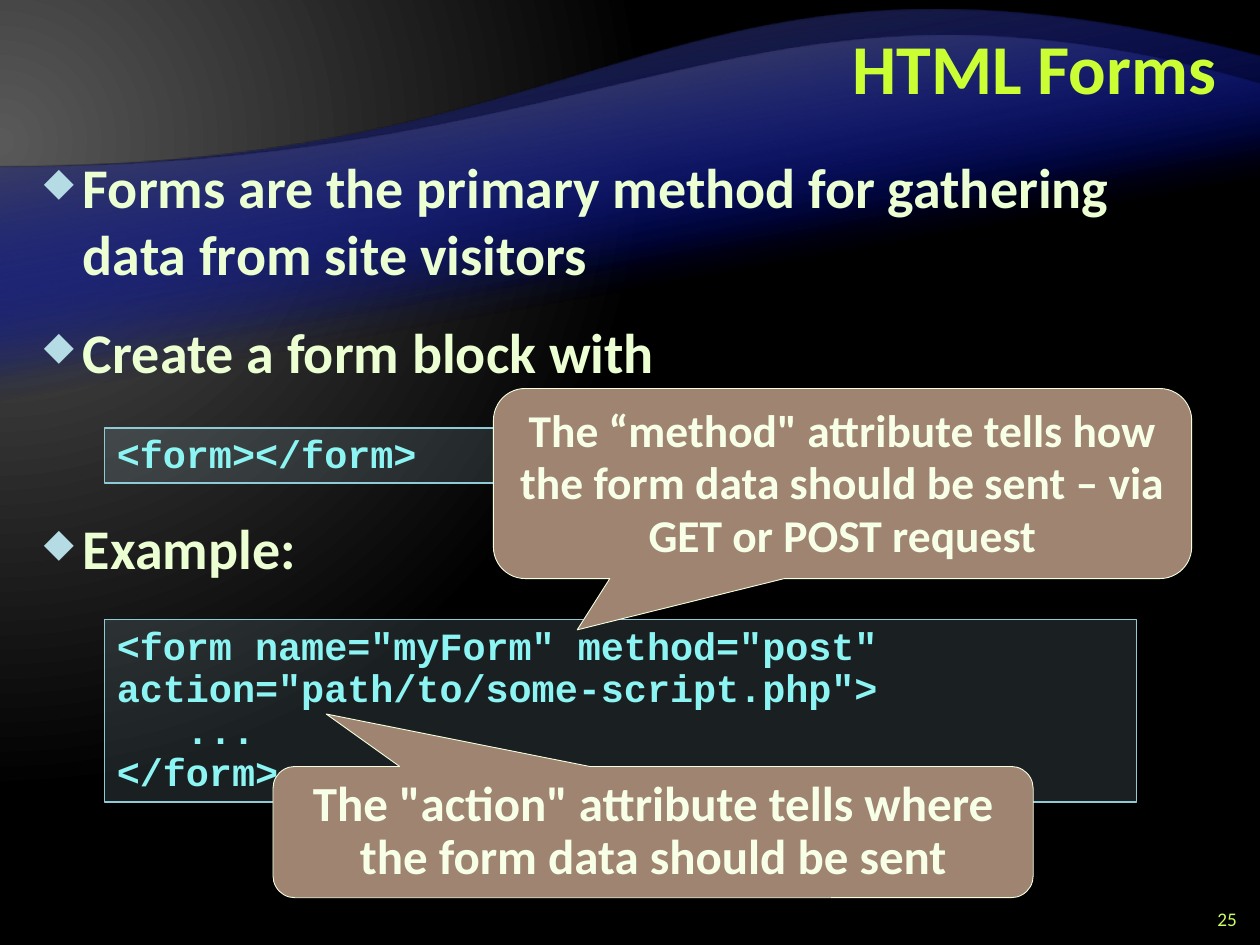
from lxml.etree import SubElement
from pptx import Presentation
from pptx.dml.color import RGBColor
from pptx.enum.shapes import MSO_SHAPE
from pptx.enum.text import MSO_ANCHOR, MSO_AUTO_SIZE, PP_ALIGN
from pptx.oxml.ns import qn
from pptx.util import Inches, Pt

UNIT = Inches(1 / 12)  # grid of 120 columns by 90 rows

THEME = {
    "sans": "Calibri", "mono": "Courier New",
    "title": "CCFF33", "body": "EBFFD2", "page": "CCFF66", "bullet": "B5DBE5",
    "code": "8CF4F2", "panel": "B5DBE5", "edge": "90CAD7",
    "note": "F7FFE7", "bubble": "9F8471", "rim": "F5FFE0",
    "glow": "595959", "dark": "000000", "blue": "000D9E", "dim": "262626",
    "title_size": 40, "body_size": 32, "code_size": 22, "page_size": 11,
}

TITLE = "HTML Forms"
PAGE = "25"
# text, space before in points (the last one leaves room for the code box)
POINTS = [
    ("Forms are the primary method for gathering data from site visitors", 12),
    ("Create a form block with", 12),
    ("Example:", 68),
]
# box in grid units, then lines as (text, indent in characters)
CODES = [
    ((9.94, 40.78, 98.3, 5.25), [("<form></form>", 0)]),
    ((9.94, 59, 98.3, 17.4), [
        ('<form name="myForm" method="post" action="path/to/some-script.php">', 0),
        ("...", 3),
        ("</form>", 0),
    ]),
]
# box, pointer tip, type size, text
NOTES = [
    ((26, 73, 72.4, 12.5), (-0.43, -0.9), 28,
     'The "action" attribute tells where the form data should be sent'),
    ((47, 37, 66.5, 18.1), (-0.38, 0.77), 26,
     'The “method" attribute tells how the form data should be sent '
     "– via GET or POST request"),
]
# four curve points in hundredths of an inch, foot of the wave, crest colour
WAVES = [
    ([(0, 133), (500, 133), (534, -75), (1000, 45)], 653, "dim"),
    ([(0, 133), (500, 133), (598, -49), (1000, 67)], 557, "glow"),
] * 2


def place(box):
    return [round(n * UNIT) for n in box]


def color(name):
    return RGBColor.from_string(THEME[name])


def blend(grad, stops):
    """Replace the contents of a gradFill with stops (percent, colour, alpha)."""
    for kid in list(grad):
        grad.remove(kid)
    group = SubElement(grad, qn("a:gsLst"))
    for spot, name, alpha in stops:
        stop = SubElement(group, qn("a:gs"), pos=str(spot * 1000))
        tint = SubElement(stop, qn("a:srgbClr"), val=THEME[name])
        if alpha < 100:
            SubElement(tint, qn("a:alpha"), val=str(alpha * 1000))


def paint(slide):
    slide.background.fill.gradient()
    grad = next(slide.element.iter(qn("a:gradFill")))
    blend(grad, [(0, "glow", 100), (83, "dark", 100)])
    route = SubElement(grad, qn("a:path"))
    route.set("path", "circle")
    SubElement(route, qn("a:fillToRect"),
               l="20000", t="30000", r="135000", b="100000")


def wave(slide, ends, foot, crest):
    """Draw a wave upside down, then turn it by half a circle."""
    top = ends[-1][1]
    first, *bend, last = [(1000 - x, top + foot - y) for x, y in ends]
    pen = slide.shapes.build_freeform(0, top, scale=Inches(0.01))
    pen.add_line_segments([(1000, top), first, last], close=True)
    shape = pen.convert_to_shape()
    edge = list(shape.element.iter(qn("a:lnTo")))[2]
    edge.tag = qn("a:cubicBezTo")
    for spot, (x, y) in enumerate(bend):
        point = SubElement(edge, qn("a:pt"), x=str(x), y=str(y - top))
        edge.insert(spot, point)
    shape.rotation = 180
    shape.shadow.inherit = False
    shape.line.fill.background()
    shape.fill.gradient()
    grad = next(shape.element.iter(qn("a:gradFill")))
    blend(grad, [(65, "blue", 0), (100, crest, 100)])
    SubElement(grad, qn("a:lin"), ang=str(80 * 60000), scaled="0")


def write(frame, text, size, tint, font="sans", bold=True, align=PP_ALIGN.LEFT,
          lead=None, before=0, after=0, indent=0, hang=0, bullet=None):
    """Add one paragraph; the first call fills the frame's empty one."""
    para = frame.paragraphs[-1]
    if para.runs:
        para = frame.add_paragraph()
    para.alignment = align
    para.space_before, para.space_after = Pt(before), Pt(after)
    if lead:
        para.line_spacing = Pt(lead)
    run = para.add_run()
    run.text = text
    run.font.name, run.font.size, run.font.bold = THEME[font], Pt(size), bold
    run.font.color.rgb = color(tint)
    props = para._p.get_or_add_pPr()
    props.set("marL", str(Inches(indent)))
    props.set("indent", str(Inches(hang)))
    if bullet:
        SubElement(SubElement(props, qn("a:buClr")), qn("a:srgbClr"),
                   val=THEME["bullet"])
        SubElement(props, qn("a:buSzPct"), val="70000")
        SubElement(props, qn("a:buChar"), char=bullet)


def label(slide, box, anchor=MSO_ANCHOR.TOP):
    frame = slide.shapes.add_textbox(*place(box)).text_frame
    frame.word_wrap = True
    frame.vertical_anchor = anchor
    return frame


def panel(slide, kind, box, fill, edge, width):
    shape = slide.shapes.add_shape(kind, *place(box))
    shape.shadow.inherit = False
    shape.fill.solid()
    shape.fill.fore_color.rgb = color(fill)
    shape.line.color.rgb = color(edge)
    shape.line.width = Pt(width)
    frame = shape.text_frame
    frame.word_wrap = True
    frame.vertical_anchor = MSO_ANCHOR.TOP
    frame.auto_size = MSO_AUTO_SIZE.SHAPE_TO_FIT_TEXT
    return shape


def main():
    deck = Presentation()
    deck.slide_width, deck.slide_height = 120 * UNIT, 90 * UNIT
    slide = deck.slides.add_slide(deck.slide_layouts[6])
    paint(slide)
    for ends, foot, crest in WAVES:
        wave(slide, ends, foot, crest)

    write(label(slide, (24, 1, 93, 12), MSO_ANCHOR.MIDDLE), TITLE,
          THEME["title_size"], "title", align=PP_ALIGN.RIGHT, lead=40)
    body = label(slide, (3, 14, 114, 74))
    for text, gap in POINTS:
        write(body, text, THEME["body_size"], "body", lead=38, before=gap,
              after=6, indent=0.31, hang=-0.31, bullet="◆")
    write(label(slide, (113, 86, 6, 3), MSO_ANCHOR.MIDDLE), PAGE,
          THEME["page_size"], "page", bold=False, align=PP_ALIGN.RIGHT)

    char = 0.6 * THEME["code_size"] / 72  # width of one code character, inches
    for box, lines in CODES:
        shape = panel(slide, MSO_SHAPE.RECTANGLE, box, "panel", "edge", 1)
        tint = shape.element.spPr.find(qn("a:solidFill"))[0]
        SubElement(tint, qn("a:alpha"), val="15000")
        for text, inset in lines:
            write(shape.text_frame, text, THEME["code_size"], "code",
                  font="mono", lead=24, indent=inset * char)

    for box, tip, size, text in NOTES:
        shape = panel(slide, MSO_SHAPE.ROUNDED_RECTANGULAR_CALLOUT, box,
                      "bubble", "rim", 0.5)
        shape.adjustments[0], shape.adjustments[1] = tip
        write(shape.text_frame, text, size, "note", align=PP_ALIGN.CENTER, lead=30)

    deck.save("out.pptx")


if __name__ == "__main__":
    main()
